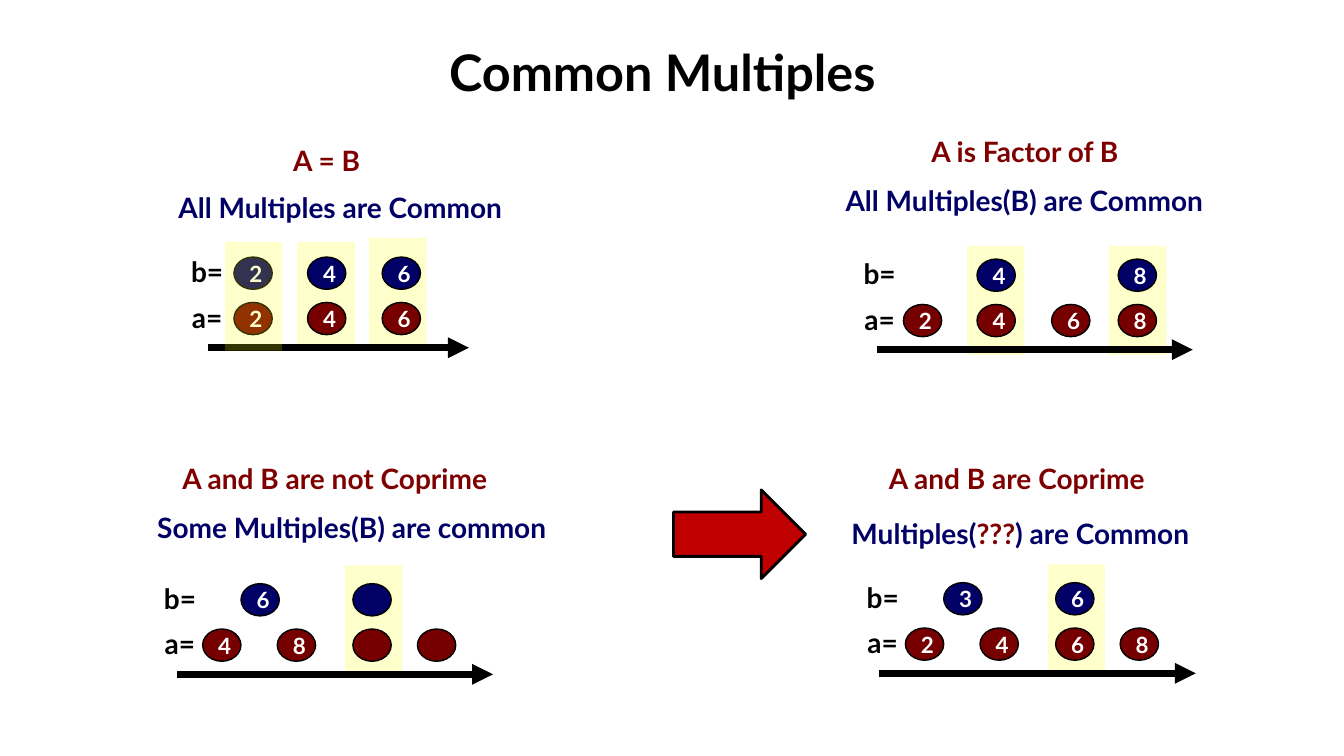
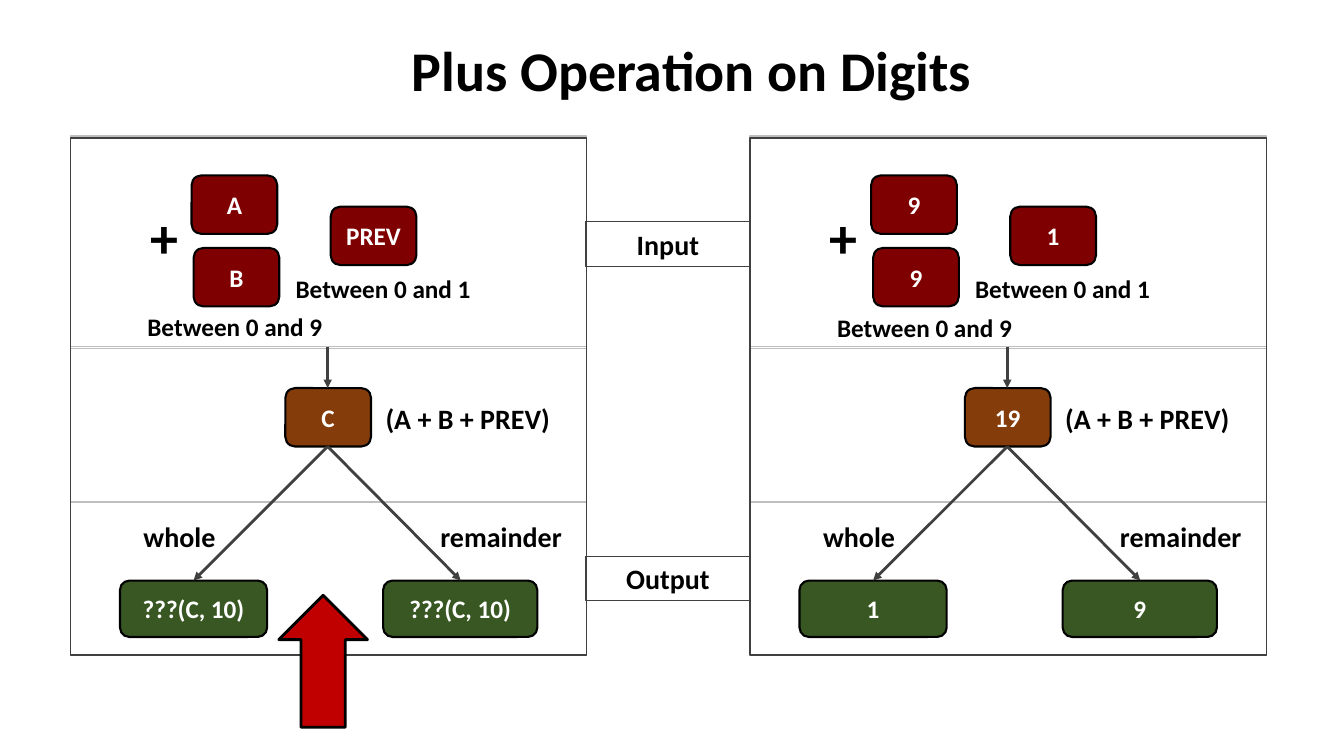
from dataclasses import dataclass
from typing import NamedTuple

from lxml.etree import SubElement
from pptx import Presentation
from pptx.dml.color import RGBColor
from pptx.enum.shapes import MSO_CONNECTOR, MSO_SHAPE
from pptx.enum.text import MSO_ANCHOR, MSO_AUTO_SIZE, PP_ALIGN
from pptx.oxml.ns import qn
from pptx.util import Inches, Pt

COLORS = {
    "black": "000000", "white": "FFFFFF", "maroon": "7E0000", "dot_a": "760000",
    "navy": "000066", "yellow": "FFFF00", "red": "C00000", "brown": "843C0B",
    "green": "385723", "grey": "BFBFBF", "dark": "404040",
}


class Box(NamedTuple):
    """A rectangle in inches."""
    left: float
    top: float
    width: float
    height: float = 0.44

    def shift(self, dx: float) -> "Box":
        """Return the box moved sideways."""
        return self._replace(left=self.left + dx)


@dataclass
class Heading:
    """A line of coloured runs above a number line."""
    box: Box
    runs: list


@dataclass
class NumberLine:
    """Two rows of multiples above an arrow; dots map a column offset to a label."""
    x: float
    y: float
    length: float
    label_x: float
    a: dict
    b: dict
    bands: list
    headings: list


@dataclass
class Sum:
    """One worked addition of two digits and a carry."""
    dx: float
    digits: tuple
    carry: str
    total: str
    whole: str
    remainder: str
    range_box: Box


def rgb(name: str) -> RGBColor:
    """Look up a colour by name."""
    return RGBColor.from_string(COLORS[name])


def lengths(box) -> list:
    """Convert inches to slide lengths."""
    return [Inches(v) for v in box]


def write(tf, text, *, size=20, font="Calibri", color="black") -> None:
    """Write centred bold text, given as a string or as (text, colour) runs."""
    tf.word_wrap = True
    p = tf.paragraphs[0]
    p.alignment = PP_ALIGN.CENTER
    for words, tint in ([(text, color)] if isinstance(text, str) else text):
        r = p.add_run()
        r.text = words
        r.font.size, r.font.name, r.font.bold = Pt(size), font, True
        r.font.color.rgb = rgb(tint)


def add_text(s, box: Box, text, **style):
    """Add a text box that grows with its text."""
    tf = s.shapes.add_textbox(*lengths(box)).text_frame
    tf.auto_size = MSO_AUTO_SIZE.SHAPE_TO_FIT_TEXT
    write(tf, text, **style)


def add_shape(s, kind, box: Box, *, fill=None, line=None, width=1.0, text="", **style):
    """Add a preset shape without shadow."""
    sp = s.shapes.add_shape(kind, *lengths(box))
    sp.shadow.inherit = False
    if fill:
        sp.fill.solid()
        sp.fill.fore_color.rgb = rgb(fill)
    else:
        sp.fill.background()
    if line:
        sp.line.color.rgb = rgb(line)
        sp.line.width = Pt(width)
    else:
        sp.line.fill.background()
    if text:
        write(sp.text_frame, text, **style)
    return sp


def add_arrow(s, start: tuple, end: tuple, *, color: str, width: float) -> None:
    """Add a straight connector with a triangle at its end."""
    c = s.shapes.add_connector(MSO_CONNECTOR.STRAIGHT, *lengths(start + end))
    c.line.color.rgb = rgb(color)
    c.line.width = Pt(width)
    sp_pr = c.element.spPr
    SubElement(sp_pr.find(qn("a:ln")), qn("a:tailEnd"), type="triangle")
    SubElement(sp_pr, qn("a:effectLst"))


def add_pointer(s, box: Box, rotation: float = 0) -> None:
    """Add the big red arrow."""
    sp = add_shape(s, MSO_SHAPE.RIGHT_ARROW, box, fill="red", line="black", width=2)
    sp.rotation = rotation


def add_slide(prs, title: str, box: Box, **style):
    """Add a slide with a moved and formatted title."""
    s = prs.slides.add_slide(prs.slide_layouts[5])
    sp = s.shapes.title
    sp.left, sp.top, sp.width, sp.height = lengths(box)
    tf = sp.text_frame
    tf.vertical_anchor = MSO_ANCHOR.TOP
    tf.auto_size = MSO_AUTO_SIZE.SHAPE_TO_FIT_TEXT
    write(tf, title, **style)
    return s


def add_band(s, left: float, top: float) -> None:
    """Add a translucent highlight over one common multiple."""
    sp = add_shape(s, MSO_SHAPE.RECTANGLE, Box(left, top, 0.57, 1.08), fill="yellow")
    SubElement(sp.element.spPr.find(".//" + qn("a:srgbClr")), qn("a:alpha"), val="20000")


def add_number_line(s, n: NumberLine) -> None:
    """Draw one number line with its headings, labels and dots."""
    for band in n.bands:
        add_band(s, *band)
    add_arrow(s, (n.x, n.y), (n.x + n.length, n.y), color="black", width=5)
    for name, dots, rise, fill in (("a=", n.a, 0.45, "dot_a"), ("b=", n.b, 0.9, "navy")):
        add_text(s, Box(n.label_x - 0.37, n.y - rise - 0.07, 0.73), name, font="Lato")
        for offset, label in dots.items():
            add_shape(s, MSO_SHAPE.OVAL, Box(n.x + offset, n.y - rise, 0.38, 0.32),
                      fill=fill, line="black", text=label, size=16, font="Lato",
                      color="white")
    for h in n.headings:
        add_text(s, h.box, h.runs, font="Lato")


def add_sum(s, m: Sum) -> None:
    """Draw one framed addition flow from inputs to outputs."""
    def card(box: Box, text: str, fill: str) -> None:
        add_shape(s, MSO_SHAPE.ROUNDED_RECTANGLE, box.shift(m.dx), fill=fill,
                  line="black", width=1.5, text=text, size=18, color="white")

    for top, height, line in ((1.35, 2.09, "grey"), (3.46, 1.52, "grey"),
                              (4.98, 1.52, "grey"), (1.37, 5.13, "dark")):
        add_shape(s, MSO_SHAPE.RECTANGLE, Box(0.7, top, 5.12, height).shift(m.dx), line=line)

    first, second = m.digits
    for box, text, fill in (
        (Box(1.9, 1.74, 0.85, 0.58), first, "maroon"),
        (Box(1.92, 2.46, 0.85, 0.58), second, "maroon"),
        (Box(3.28, 2.05, 0.85, 0.58), m.carry, "maroon"),
        (Box(2.83, 3.85, 0.85, 0.58), m.total, "brown"),
        (Box(1.19, 5.76, 1.46, 0.56), m.whole, "green"),
        (Box(3.8, 5.76, 1.53, 0.56), m.remainder, "green"),
    ):
        card(box, text, fill)

    middle = 3.25 + m.dx
    add_arrow(s, (middle, 3.44), (middle, 3.85), color="dark", width=2)
    for x in (1.92, 4.57):
        add_arrow(s, (middle, 4.43), (x + m.dx, 5.76), color="dark", width=2)

    for box, text, size in (
        (Box(1.39, 1.96, 0.42, 0.77), "+", 40),
        (Box(3.52, 3.93, 2.24), "(A + B + PREV)", 20),
        (Box(1.17, 5.1, 1.22), "whole", 20),
        (Box(4.01, 5.1, 1.92), "remainder", 20),
        (Box(2.77, 2.66, 2.06, 0.4), "Between 0 and 1", 18),
    ):
        add_text(s, box.shift(m.dx), text, size=size)
    add_text(s, m.range_box, "Between 0 and 9", size=18)


NUMBER_LINES = [
    NumberLine(
        2.06, 3.45, 2.59, 2.06,
        a={0.26: "2", 0.99: "4", 1.73: "6"}, b={0.26: "2", 0.99: "4", 1.73: "6"},
        bands=[(3.66, 2.36), (2.95, 2.4)],
        headings=[Heading(Box(2.66, 1.37, 1.16), [("A = B", "maroon")]),
                  Heading(Box(1.47, 1.84, 3.81), [("All Multiples are Common", "navy")])]),
    NumberLine(
        8.7, 3.47, 3.13, 8.73,
        a={0.26: "2", 0.99: "4", 1.73: "6", 2.39: "8"}, b={0.99: "4", 2.39: "8"},
        bands=[(11, 2.44), (9.59, 2.44)],
        headings=[Heading(Box(8.96, 1.29, 2.41), [("A is Factor of B", "maroon")]),
                  Heading(Box(8, 1.77, 4.32), [("All Multiples(B) are Common", "navy")])]),
    NumberLine(
        1.76, 6.69, 3.13, 1.79,
        a={0.25: "4", 0.99: "8", 1.74: "", 2.38: ""}, b={0.63: "6", 1.74: ""},
        bands=[(3.42, 5.61)],
        headings=[Heading(Box(1.41, 4.53, 3.82), [("A and B are not Coprime", "maroon")]),
                  Heading(Box(1.15, 5.02, 4.68), [("Some Multiples(B) are common", "navy")])]),
    NumberLine(
        8.72, 6.68, 3.14, 8.76,
        a={0.26: "2", 1.0: "4", 1.75: "6", 2.39: "8"}, b={0.64: "3", 1.75: "6"},
        bands=[(10.39, 5.6)],
        headings=[Heading(Box(8.56, 4.53, 3.05), [("A and B are Coprime", "maroon")]),
                  Heading(Box(7.96, 5.08, 4.32), [("Multiples(", "navy"), ("???", "maroon"),
                                                  (") are Common", "navy")])]),
]

SUMS = [
    Sum(0, ("A", "B"), "PREV", "C", "???(C, 10)", "???(C, 10)", Box(1.3, 3.04, 2.06, 0.4)),
    Sum(6.74, ("9", "9"), "1", "19", "1", "9", Box(8.14, 3.05, 2.06, 0.4)),
]


def build_multiples(prs) -> None:
    """Build the slide on common multiples."""
    s = add_slide(prs, "Common Multiples", Box(3.17, 0.36, 6.8, 0.71), size=36, font="Lato")
    for n in NUMBER_LINES:
        add_number_line(s, n)
    add_band(s, 2.23, 2.4)
    add_pointer(s, Box(6.68, 4.86, 1.31, 0.88))


def build_plus(prs) -> None:
    """Build the slide on adding digits."""
    s = add_slide(prs, "Plus Operation on Digits", Box(3.49, 0.3, 6.74, 0.77), size=40)
    for m in SUMS:
        add_sum(s, m)
    for top, text in ((2.2, "Input"), (5.52, "Output")):
        add_shape(s, MSO_SHAPE.RECTANGLE, Box(5.81, top, 1.63), line="dark", width=0.75,
                  text=text)
    add_pointer(s, Box(2.55, 6.12, 1.31, 0.88), rotation=270)


def main() -> None:
    """Build and save the presentation."""
    prs = Presentation()
    prs.slide_width, prs.slide_height = Inches(13.33), Inches(7.5)
    build_multiples(prs)
    build_plus(prs)
    prs.save("out.pptx")


main()
